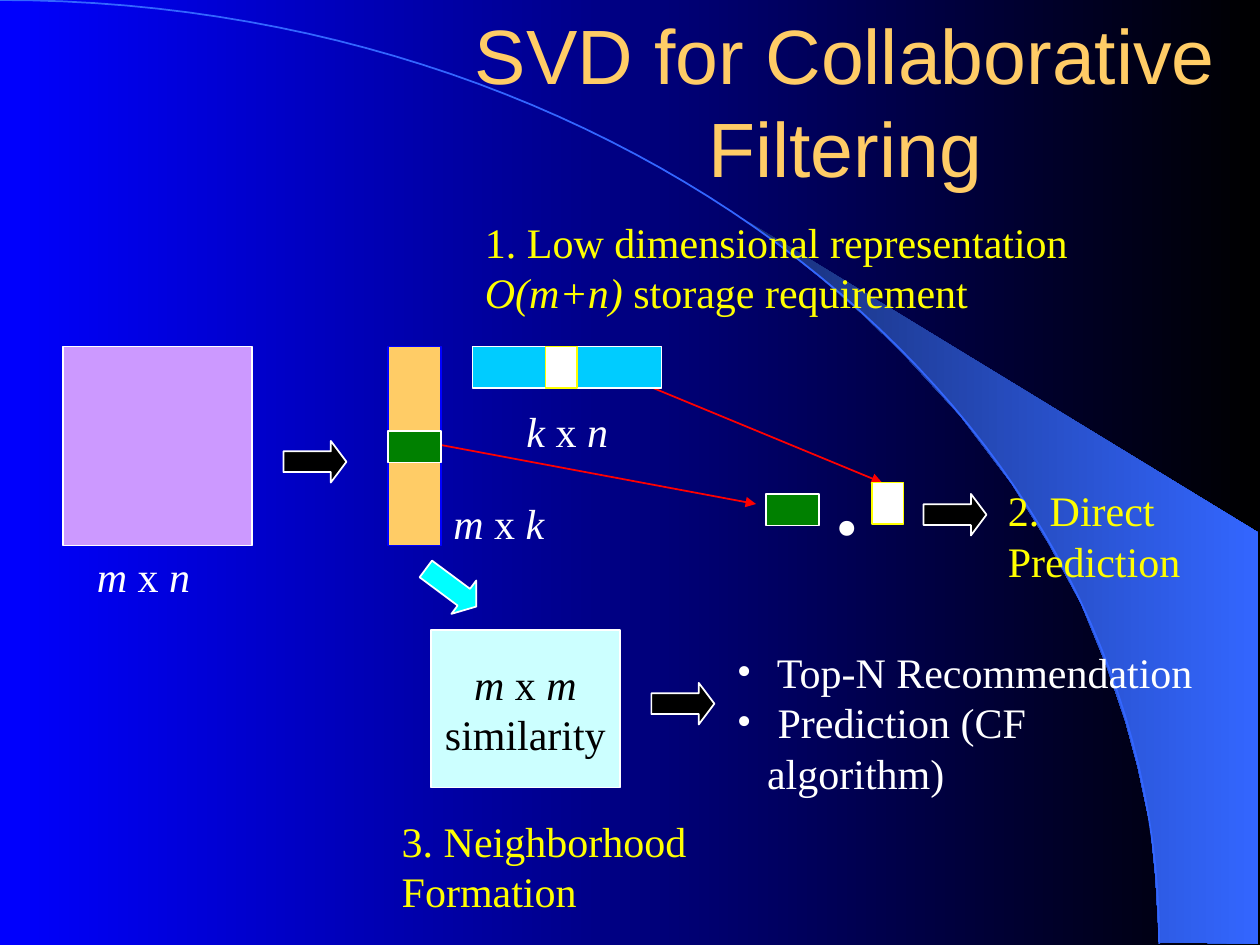
from dataclasses import dataclass
from lxml import etree
from pptx import Presentation
from pptx.dml.color import RGBColor as Rgb
from pptx.enum.shapes import MSO_CONNECTOR as Conn, MSO_SHAPE as Geo
from pptx.enum.text import MSO_ANCHOR as Anchor, MSO_AUTO_SIZE as Fit, PP_ALIGN as Align
from pptx.oxml.ns import qn
from pptx.util import Inches, Pt


@dataclass(frozen=True)
class Theme:
    head: str = "Arial"
    body: str = "Times New Roman"
    big: int = 44
    mid: int = 24
    dot: int = 72
    line: float = 0.99
    white: str = "FFFFFF"
    black: str = "000000"
    blue: str = "0000FF"
    navy: str = "182F76"
    sweep: str = "3366FF"
    gold: str = "FFCC66"
    yellow: str = "FFFF00"
    lilac: str = "CC99FF"
    cyan: str = "00FFFF"
    pale: str = "CCFFFF"
    sky: str = "00CCFF"
    green: str = "008000"
    red: str = "FF0000"


class Board:
    def __init__(self, slide, theme):
        self.slide, self.theme = slide, theme
        self.shapes = slide.shapes

    def blend(self, fill, *hues):
        fill.gradient()
        fill.gradient_angle = 0
        for stop, hue, place in zip(fill.gradient_stops, hues, (0, 1)):
            stop.color.rgb, stop.position = Rgb.from_string(hue), place

    def edge(self, line, hue):
        line.color.rgb = Rgb.from_string(hue)
        line.width = Pt(self.theme.line)

    def outline(self, points, close):
        pen = self.shapes.build_freeform(*map(Inches, points[0]), scale=1.0)
        pen.add_line_segments([tuple(map(Inches, p)) for p in points[1:]], close=close)
        shape = pen.convert_to_shape()
        shape.shadow.inherit = False
        return shape

    def words(self, frame, paras, hue, size=None, font=None, align=Align.LEFT, wrap=True):
        """Each paragraph is a list of runs; a leading * marks italics."""
        frame.auto_size = Fit.NONE
        frame.word_wrap = wrap
        frame.margin_left = frame.margin_right = Inches(0.1)
        frame.margin_top = frame.margin_bottom = Inches(0.05)
        for i, runs in enumerate(paras):
            para = frame.add_paragraph() if i else frame.paragraphs[0]
            para.alignment = align
            for text in runs:
                run = para.add_run()
                run.text = text.lstrip("*")
                run.font.italic = text.startswith("*")
                run.font.size = Pt(size or self.theme.mid)
                run.font.name = font or self.theme.body
                run.font.color.rgb = Rgb.from_string(hue)

    def title(self, box, text):
        shape = self.shapes.title
        shape.left, shape.top, shape.width, shape.height = map(Inches, box)
        shape.text_frame.vertical_anchor = Anchor.MIDDLE
        self.words(shape.text_frame, [[text]], self.theme.gold, self.theme.big,
                   self.theme.head, Align.CENTER)
        shape.element.getparent().append(shape.element)

    def text(self, box, paras, hue, size=None):
        shape = self.shapes.add_textbox(*map(Inches, box))
        self.words(shape.text_frame, paras, hue, size)
        return shape

    def bullets(self, box, items, hue):
        shape = self.text(box, [[item] for item in items], hue)
        for para in shape.text_frame.paragraphs:
            props = para._p.get_or_add_pPr()
            props.set("marL", str(Inches(0.24)))
            props.set("indent", str(-Inches(0.24)))
            etree.SubElement(props, qn("a:buFont")).set("typeface", self.theme.body)
            etree.SubElement(props, qn("a:buChar")).set("char", "•")

    def block(self, box, fill, line=None, geo=Geo.RECTANGLE):
        shape = self.shapes.add_shape(geo, *map(Inches, box))
        shape.shadow.inherit = False
        shape.fill.solid()
        shape.fill.fore_color.rgb = Rgb.from_string(fill)
        self.edge(shape.line, line or self.theme.white)
        return shape

    def arrow(self, left, top, fill, turn=0):
        shape = self.block((left, top, 0.5, 0.33), fill, geo=Geo.RIGHT_ARROW)
        shape.adjustments[0], shape.adjustments[1] = 0.5, 0.375
        shape.rotation = turn

    def link(self, start, end):
        line = self.shapes.add_connector(Conn.STRAIGHT, *map(Inches, start + end))
        self.edge(line.line, self.theme.red)
        tail = etree.SubElement(line.line._get_or_add_ln(), qn("a:tailEnd"))
        tail.set("type", "triangle")
        etree.SubElement(line.element.spPr, qn("a:effectLst"))


deck = Presentation()
deck.slide_width, deck.slide_height = Inches(10), Inches(7.5)
t = Theme()
b = Board(deck.slides.add_slide(deck.slide_layouts[5]), t)

# Backdrop: gradient, beam and curve
b.blend(b.slide.background.fill, t.blue, t.black)
beam = b.outline([
    (9.2, 7.48), (9.99, 7.49), (9.99, 4.23), (5.89, 1.73), (6.24, 1.99), (6.53, 2.22),
    (6.85, 2.5), (7.16, 2.8), (7.62, 3.3), (8.03, 3.84), (8.32, 4.31), (8.58, 4.79),
    (8.78, 5.28), (8.93, 5.72), (9.03, 6.09), (9.13, 6.56), (9.17, 6.96)], True)
b.blend(beam.fill, t.navy, t.sweep)
beam.line.fill.background()

steps = [i / 60 for i in range(61)]
curve = b.outline([
    (3 * 5.08 * s * (1 - s) ** 2 + 9.2 * (3 * s * s * (1 - s) + s ** 3),
     3 * 3.35 * s * s * (1 - s) + 7.49 * s ** 3) for s in steps], False)
curve.fill.background()
b.edge(curve.line, t.sweep)

b.title((3.42, 0.17, 6.58, 1.25), "SVD for Collaborative Filtering")

# Source matrix
b.block((0.5, 2.75, 1.5, 1.58), t.lilac)
b.text((0.67, 4.32, 1.03, 0.5), [["*m ", "x ", "*n"]], t.white)

# Neighborhood formation
b.arrow(3.33, 4.5, t.cyan, 36.6)
near = b.block((3.42, 5, 1.5, 1.25), t.pale)
near.text_frame.vertical_anchor = Anchor.MIDDLE
b.words(near.text_frame, [["*m", " x ", "*m"], ["similarity"]], t.black,
        align=Align.CENTER, wrap=False)
b.arrow(5.17, 5.42, t.black)
b.bullets((5.75, 5.08, 3.86, 1.3),
          [" Top-N Recommendation", " Prediction (CF algorithm)"], t.white)
b.text((3.09, 6.42, 2.54, 0.9), [["3. Neighborhood"], ["Formation"]], t.yellow)

# Direct prediction
b.text((6.5, 3.19, 0.45, 1.3), [["."]], t.white, t.dot)
b.link((3.33, 3.5), (6, 4))
b.link((4.58, 2.83), (7, 3.83))
b.block((6.08, 3.92, 0.42, 0.25), t.green)
b.block((6.92, 3.83, 0.25, 0.33), t.white, t.yellow)
b.arrow(7.33, 3.92, t.black)
b.text((7.9, 3.8, 1.57, 0.9), [["2. Direct"], ["Prediction"]], t.yellow)

# Low dimensional factors
b.text((3.75, 1.67, 4.92, 0.9),
       [["1. Low dimensional representation"], ["*O(m+n)", " storage requirement"]], t.yellow)
b.block((3.75, 2.75, 1.5, 0.33), t.sky)
b.block((4.33, 2.75, 0.25, 0.33), t.white, t.yellow)
b.text((3.5, 3.9, 1.03, 0.5), [["*m ", "x ", "*k"]], t.white)
b.block((3.08, 2.75, 0.42, 1.58), t.gold, t.blue)
b.arrow(2.25, 3.5, t.black)
b.block((3.08, 3.42, 0.42, 0.25), t.green)
b.text((4.08, 3.17, 1.08, 0.5), [["*k ", "x ", "*n"]], t.white)

deck.save("out.pptx")
